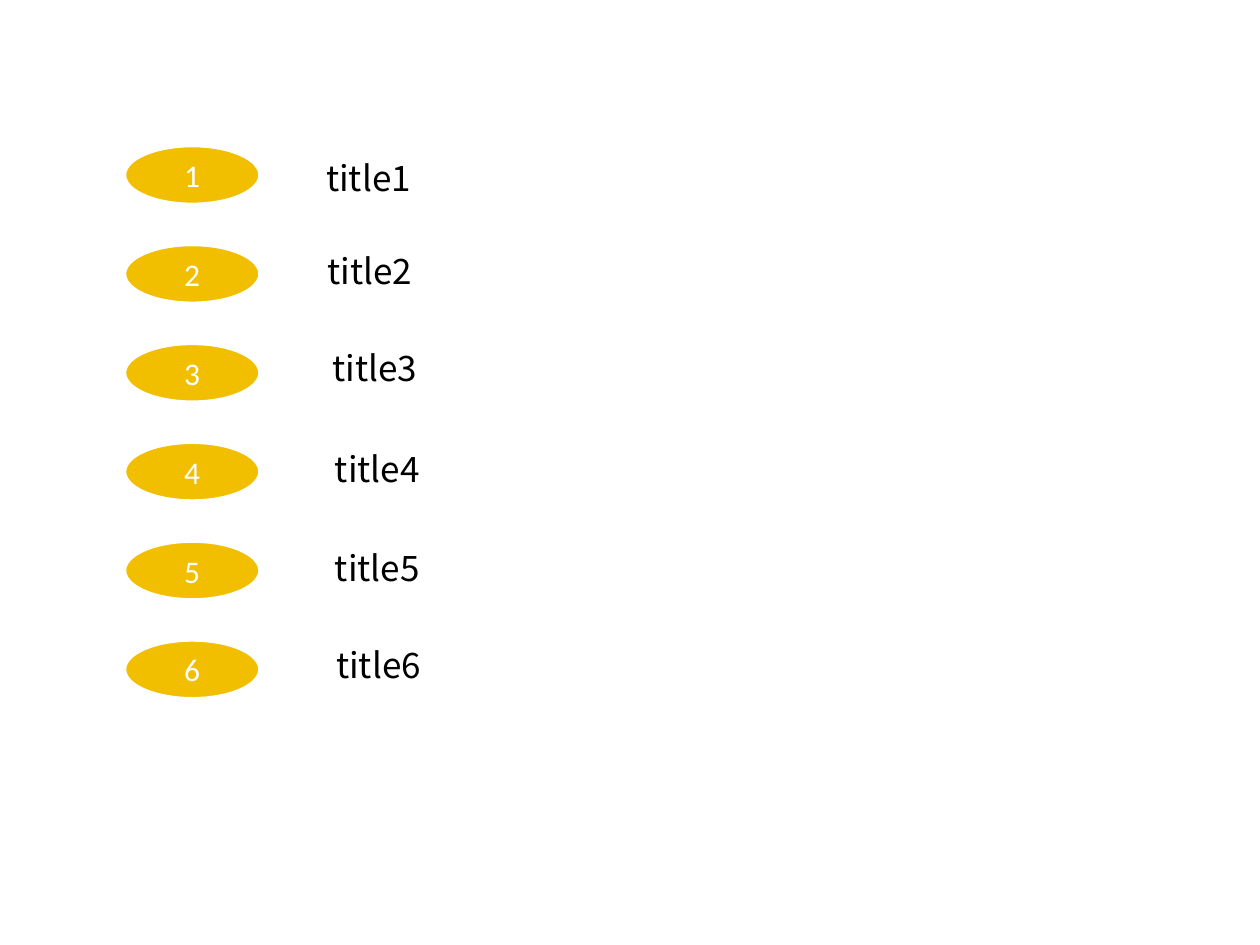
from dataclasses import dataclass

from pptx import Presentation
from pptx.dml.color import RGBColor
from pptx.enum.shapes import MSO_SHAPE
from pptx.enum.text import MSO_ANCHOR, MSO_AUTO_SIZE, PP_ALIGN
from pptx.oxml.ns import qn
from pptx.util import Pt

# Agenda entries: title, left and top of its label in points
AGENDA = [
    ("title1", 179.3, 85.7),
    ("title2", 180, 139),
    ("title3", 182.9, 194.4),
    ("title4", 184.3, 252),
    ("title5", 184.3, 308.9),
    ("title6", 185, 364.3),
]
BADGE_LEFT, BADGE_TOP, BADGE_STEP = 70.6, 82.7, 56.5
BADGE_WIDTH, BADGE_HEIGHT = 78.5, 34.6
LABEL_WIDTH, LABEL_HEIGHT = 507.6, 31.5


@dataclass(frozen=True)
class Theme:
    """Colours, fonts and type sizes of the slide."""
    gold: RGBColor = RGBColor(0xF2, 0xBE, 0x00)
    white: RGBColor = RGBColor(0xFF, 0xFF, 0xFF)
    black: RGBColor = RGBColor(0, 0, 0)
    number_font: str = "Calibri"
    title_font: str = "Noto Sans CJK SC"
    number_size: int = 18
    title_size: int = 20
    outline: int = 3


THEME = Theme()


def write(paragraph, text, font_name, size, color):
    """Add one formatted run to a paragraph."""
    run = paragraph.add_run()
    run.text = text
    run.font.name = font_name
    run.font.size = Pt(size)
    run.font.color.rgb = color
    east_asian = run.font._element.makeelement(qn("a:ea"), {"typeface": font_name})
    run.font._element.append(east_asian)


def add_badge(slide, number, top):
    """Draw the numbered ellipse of an entry."""
    badge = slide.shapes.add_shape(
        MSO_SHAPE.OVAL, Pt(BADGE_LEFT), Pt(top), Pt(BADGE_WIDTH), Pt(BADGE_HEIGHT))
    badge.shadow.inherit = False
    badge.fill.solid()
    badge.fill.fore_color.rgb = THEME.gold
    badge.line.color.rgb = THEME.white
    badge.line.width = Pt(THEME.outline)
    frame = badge.text_frame
    frame.vertical_anchor = MSO_ANCHOR.MIDDLE
    frame.paragraphs[0].alignment = PP_ALIGN.CENTER
    write(frame.paragraphs[0], str(number), THEME.number_font,
          THEME.number_size, THEME.white)


def add_label(slide, title, left, top):
    """Place the title of an entry."""
    label = slide.shapes.add_textbox(
        Pt(left), Pt(top), Pt(LABEL_WIDTH), Pt(LABEL_HEIGHT))
    frame = label.text_frame
    frame.word_wrap = True
    frame.auto_size = MSO_AUTO_SIZE.SHAPE_TO_FIT_TEXT
    write(frame.paragraphs[0], title, THEME.title_font,
          THEME.title_size, THEME.black)


def build():
    """Build and save the agenda slide."""
    deck = Presentation()
    deck.slide_width, deck.slide_height = Pt(720), Pt(540)
    slide = deck.slides.add_slide(deck.slide_layouts.get_by_name("Blank"))
    for index, (title, left, top) in enumerate(AGENDA):
        add_badge(slide, index + 1, BADGE_TOP + index * BADGE_STEP)
        add_label(slide, title, left, top)
    deck.save("out.pptx")


build()
